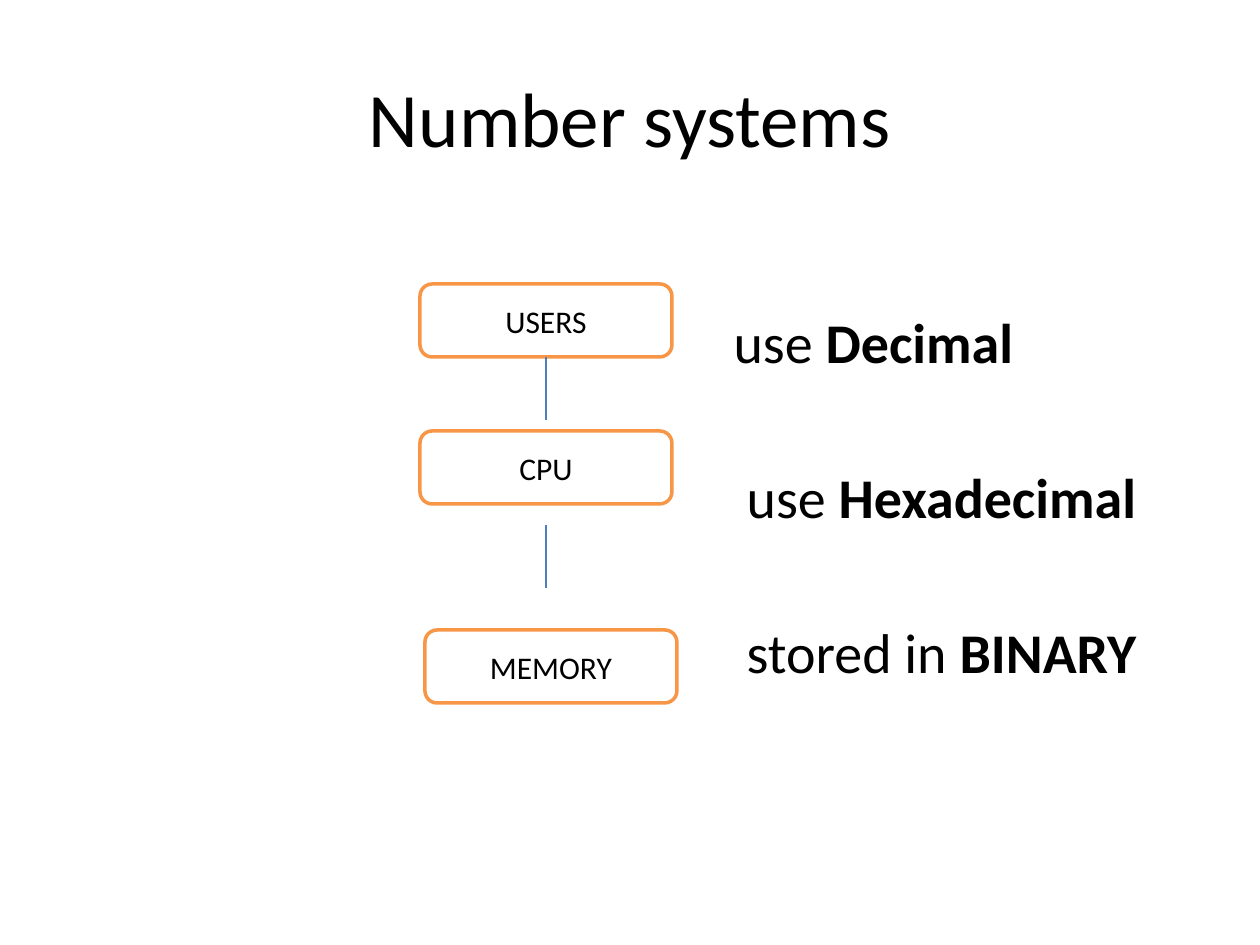
from dataclasses import dataclass

from pptx import Presentation
from pptx.dml.color import RGBColor
from pptx.enum.shapes import MSO_CONNECTOR, MSO_SHAPE
from pptx.enum.text import MSO_ANCHOR, MSO_AUTO_SIZE, PP_ALIGN
from pptx.oxml.ns import qn
from pptx.util import Pt
from lxml.etree import SubElement

SCALE = 914400 / 126


@dataclass(frozen=True)
class Theme:
    font: str = "Calibri"
    text: RGBColor = RGBColor(0x00, 0x00, 0x00)
    fill: RGBColor = RGBColor(0xFF, 0xFF, 0xFF)
    border: RGBColor = RGBColor(0xF7, 0x96, 0x46)
    link: RGBColor = RGBColor(0x4B, 0x7E, 0xBC)
    title_size: int = 44
    body_size: int = 32
    box_size: int = 18


@dataclass(frozen=True)
class Box:
    label: str
    x: int
    y: int
    w: int = 252
    h: int = 73


@dataclass(frozen=True)
class Usage:
    verb: str
    system: str
    indent: int


THEME = Theme()
BOXES = [Box("USERS", 420, 284), Box("CPU", 420, 431), Box("MEMORY", 425, 630)]
USAGES = [
    Usage("use ", "Decimal", 658),
    Usage("use ", "Hexadecimal", 671),
    Usage("stored in ", "BINARY", 671),
]
LINK_X, LINK_LENGTH = 546, 63
LINK_TOPS = [357, 525]
BODY_TOP_INSET = 87
USAGE_GAP = 50.4


def px(n: int) -> int:
    return round(n * SCALE)


def place(sp, x: int, y: int, w: int, h: int) -> None:
    sp.left, sp.top, sp.width, sp.height = map(px, (x, y, w, h))


def style(p, size: int) -> None:
    p.font.name = THEME.font
    p.font.size = Pt(size)
    p.font.color.rgb = THEME.text


def fill_title(sp, text: str) -> None:
    place(sp, 63, 38, 1134, 157)
    tf = sp.text_frame
    tf.text = text
    tf.vertical_anchor = MSO_ANCHOR.MIDDLE
    p = tf.paragraphs[0]
    p.alignment = PP_ALIGN.CENTER
    style(p, THEME.title_size)


def fill_usages(sp, usages: list[Usage]) -> None:
    place(sp, 63, 220, 1134, 624)
    tf = sp.text_frame
    tf.auto_size = MSO_AUTO_SIZE.NONE
    tf.margin_top = px(BODY_TOP_INSET)
    for i, usage in enumerate(usages):
        p = tf.add_paragraph() if i else tf.paragraphs[0]
        p.space_before = Pt(USAGE_GAP if i else 0)
        style(p, THEME.body_size)
        pPr = p._p.get_or_add_pPr()
        pPr.set("marL", str(px(usage.indent)))
        pPr.set("indent", "0")
        pPr.insert_element_before(
            pPr.makeelement(qn("a:buNone")), "a:tabLst", "a:defRPr", "a:extLst")
        p.add_run().text = usage.verb
        r = p.add_run()
        r.text = usage.system
        r.font.bold = True


def add_box(s, box: Box):
    sp = s.shapes.add_shape(MSO_SHAPE.ROUNDED_RECTANGLE,
                            px(box.x), px(box.y), px(box.w), px(box.h))
    sp.shadow.inherit = False
    sp.fill.solid()
    sp.fill.fore_color.rgb = THEME.fill
    sp.line.color.rgb = THEME.border
    sp.line.width = Pt(2)
    tf = sp.text_frame
    tf.text = box.label
    tf.vertical_anchor = MSO_ANCHOR.MIDDLE
    p = tf.paragraphs[0]
    p.alignment = PP_ALIGN.CENTER
    style(p, THEME.box_size)
    return sp


def add_link(s, top: int):
    link = s.shapes.add_connector(MSO_CONNECTOR.STRAIGHT, px(LINK_X), px(top),
                                  px(LINK_X), px(top + LINK_LENGTH))
    link.line.color.rgb = THEME.link
    link.line.width = Pt(0.75)
    SubElement(link._element.spPr, qn("a:effectLst"))
    return link


def main() -> None:
    prs = Presentation()
    prs.slide_width, prs.slide_height = px(1260), px(945)
    s = prs.slides.add_slide(prs.slide_layouts[1])
    fill_title(s.shapes.title, "Number systems")
    fill_usages(s.placeholders[1], USAGES)
    users, *_ = [add_box(s, box) for box in BOXES]
    users_link, *_ = [add_link(s, top) for top in LINK_TOPS]
    users_link.begin_connect(users, 2)
    prs.save("out.pptx")


if __name__ == "__main__":
    main()
